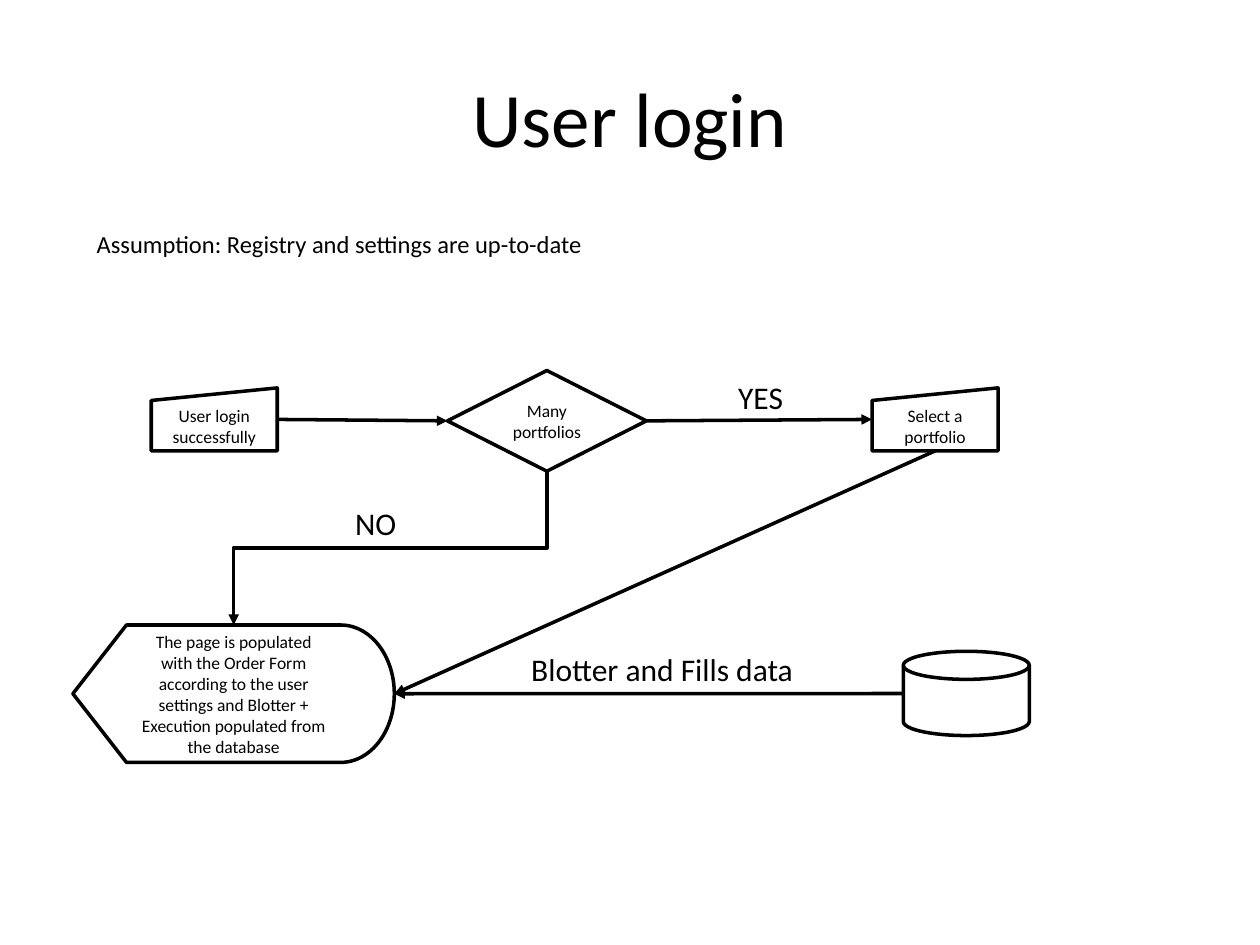
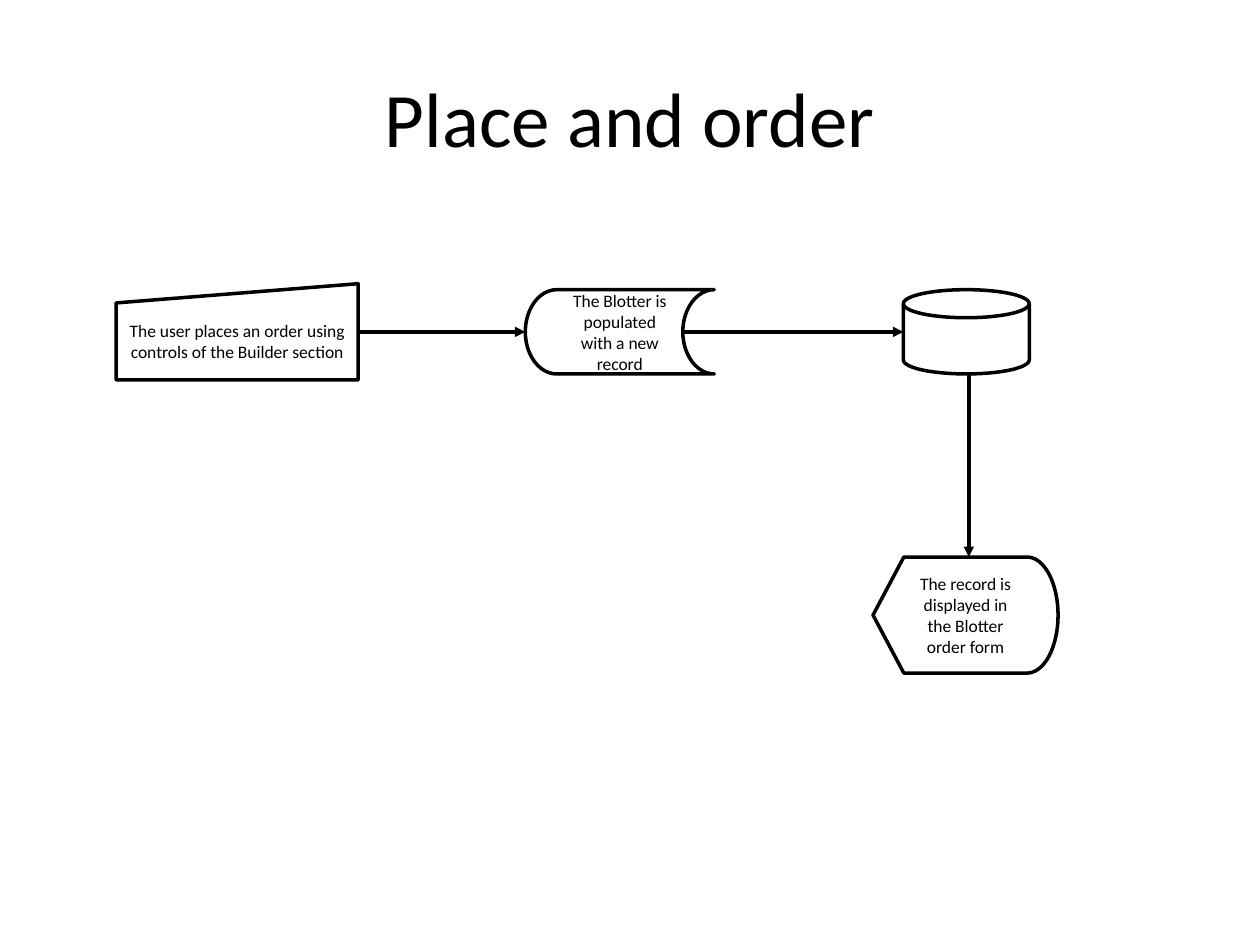
from lxml import etree
from pptx import Presentation
from pptx.dml.color import RGBColor as Rgb
from pptx.enum.shapes import MSO_CONNECTOR as Link, MSO_SHAPE as Kind
from pptx.enum.text import MSO_ANCHOR as Anchor, MSO_AUTO_SIZE as Fit, PP_ALIGN as Align
from pptx.oxml.ns import qn
from pptx.util import Cm, Pt

# Shared look
COLORS = {"ink": "000000", "paper": "FFFFFF"}
FONT = "Calibri"
LINE = Pt(2)
TITLE_BOX = (1.27, 0.76, 22.86, 3.18)
TOP, LEFT, BOTTOM, RIGHT = range(4)

# Sizes of the shapes that recur, in cm
STEP = (2.54, 1.27)
DISK = (2.54, 1.7)


def color(name):
    return Rgb.from_string(COLORS[name])


def apply(item, values):
    for name, value in values.items():
        setattr(item, name, value)


def write(frame, text, size, align):
    frame.text = text
    part = frame.paragraphs[0]
    part.alignment = align
    font = part.runs[0].font
    apply(font, {"name": FONT, "size": Pt(size)})
    font.color.rgb = color("ink")


def ink(line):
    line.color.rgb = color("ink")
    line.width = LINE


def add_page(deck, title):
    page = deck.slides.add_slide(deck.slide_layouts[5])
    fill = page.background.fill
    fill.solid()
    fill.fore_color.rgb = color("paper")
    head = page.shapes.title
    apply(head, dict(zip(("left", "top", "width", "height"), map(Cm, TITLE_BOX))))
    write(head.text_frame, title, 44, Align.CENTER)
    head.text_frame.vertical_anchor = Anchor.MIDDLE
    return page


def add_node(page, kind, spot, size, text=""):
    node = page.shapes.add_shape(kind, *map(Cm, spot + size))
    node.shadow.inherit = False
    node.fill.background()
    ink(node.line)
    if text:
        apply(node.text_frame, {"word_wrap": True, "vertical_anchor": Anchor.MIDDLE})
        write(node.text_frame, text, 10, Align.CENTER)
    return node


def add_label(page, box, text, size=18):
    label = page.shapes.add_textbox(*map(Cm, box))
    apply(label.text_frame, {"word_wrap": False, "auto_size": Fit.SHAPE_TO_FIT_TEXT})
    write(label.text_frame, text, size, Align.LEFT)


def draw_link(page, kind, start, end):
    link = page.shapes.add_connector(kind, *start, *end)
    ink(link.line)
    props = link._element.spPr
    tail = etree.SubElement(props.find(qn("a:ln")), qn("a:tailEnd"))
    tail.set("type", "triangle")
    etree.SubElement(props, qn("a:effectLst"))
    return link


def add_arrow(page, start, end):
    """Each end is a (node, side) pair or an (x, y) point in cm."""
    ends = (start, end)
    points = [(0, 0) if hasattr(e[0], "left") else tuple(map(Cm, e)) for e in ends]
    link = draw_link(page, Link.STRAIGHT, *points)
    for join, spot in zip((link.begin_connect, link.end_connect), ends):
        if hasattr(spot[0], "left"):
            join(*spot)


def add_elbow(page, upper, lower):
    """Go down from one node, left, and down into the next one."""
    x1, y1 = upper.left + upper.width // 2, upper.top + upper.height
    x2, y2 = lower.left + lower.width // 2, lower.top
    wide, high = y2 - y1, x1 - x2  # swapped by the quarter turn
    left, top = (x1 + x2 - wide) // 2, (y1 + y2 - high) // 2
    link = draw_link(page, Link.ELBOW, (left, top), (left + wide, top + high))
    link._element.spPr.find(qn("a:xfrm")).set("rot", str(90 * 60000))


def build_login(deck):
    page = add_page(deck, "User login")
    add_label(page, (1.7, 4.5, 10.41, 0.86),
              "Assumption: Registry and settings are up-to-date", 14)

    # Nodes
    many = add_node(page, Kind.FLOWCHART_DECISION, (9.02, 7.47), (4.01, 2.03),
                    "Many portfolios")
    pick, login = [
        add_node(page, Kind.FLOWCHART_MANUAL_INPUT, (x, 7.82), STEP, text)
        for x, text in ((17.58, "Select a portfolio"),
                        (3.05, "User login successfully"))]
    view = add_node(page, Kind.FLOWCHART_DISPLAY, (1.47, 12.6), (6.48, 2.77),
                    "The page is populated with the Order Form according to the user "
                    "settings and Blotter + Execution populated from the database")
    add_node(page, Kind.FLOWCHART_MAGNETIC_DISK, (18.21, 13.13), DISK)

    # Arrows
    add_arrow(page, (18.21, 13.98), (view, RIGHT))
    add_arrow(page, (many, RIGHT), (pick, LEFT))
    add_arrow(page, (login, RIGHT), (many, LEFT))
    add_arrow(page, (pick, BOTTOM), (view, RIGHT))
    add_elbow(page, many, view)

    # Arrow labels
    add_label(page, (10.46, 12.98, 5.87, 1.02), "Blotter and Fills data")
    add_label(page, (6.91, 10.03, 1.35, 1.02), "NO")
    add_label(page, (14.63, 7.49, 1.42, 1.02), "YES")


def build_order(deck):
    page = add_page(deck, "Place and order")

    # Nodes
    order = add_node(page, Kind.FLOWCHART_MANUAL_INPUT, (2.34, 5.72), (4.88, 1.94),
                     "The user places an order using controls of the Builder section")
    add_node(page, Kind.FLOWCHART_MAGNETIC_DISK, (18.21, 5.84), DISK)
    store = add_node(page, Kind.FLOWCHART_STORED_DATA, (10.59, 5.84), (3.81, 1.7),
                     "The Blotter is populated with a new record")
    add_node(page, Kind.FLOWCHART_DISPLAY, (17.6, 11.23), (3.73, 2.34),
             "The record is displayed in the Blotter order form")

    # Arrows
    add_arrow(page, (order, RIGHT), (store, LEFT))
    add_arrow(page, (13.77, 6.69), (18.21, 6.69))
    add_arrow(page, (19.53, 7.54), (19.53, 11.23))


def main():
    deck = Presentation()
    apply(deck, {"slide_width": Cm(25.4), "slide_height": Cm(19.05)})
    build_login(deck)
    build_order(deck)
    deck.save("out.pptx")


if __name__ == "__main__":
    main()
